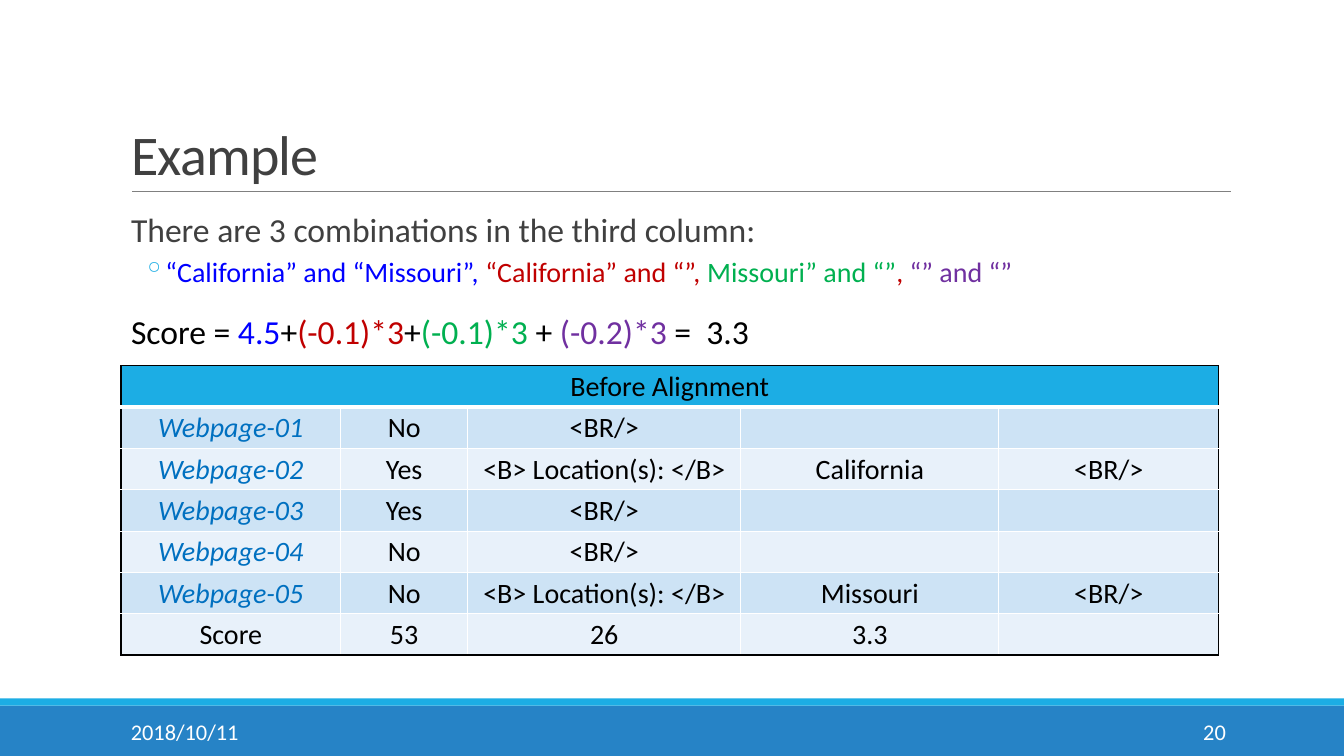
from dataclasses import dataclass

from lxml.etree import SubElement
from pptx import Presentation
from pptx.dml.color import RGBColor
from pptx.enum.shapes import MSO_CONNECTOR, MSO_SHAPE
from pptx.enum.text import MSO_ANCHOR, MSO_AUTO_SIZE, PP_ALIGN
from pptx.oxml.ns import qn
from pptx.util import Inches, Length, Pt

WHITE = RGBColor(0xFF, 0xFF, 0xFF)
BLACK = RGBColor(0x00, 0x00, 0x00)
CHARCOAL = RGBColor(0x40, 0x40, 0x40)
GRAY = RGBColor(0x80, 0x80, 0x80)
SKY = RGBColor(0x1C, 0xAD, 0xE4)
OCEAN = RGBColor(0x26, 0x83, 0xC6)
PALE = RGBColor(0xCD, 0xE3, 0xF5)
PALER = RGBColor(0xE8, 0xF1, 0xFA)
LINK_BLUE = RGBColor(0x00, 0x70, 0xC0)
BLUE = RGBColor(0x00, 0x00, 0xFF)
RED = RGBColor(0xC0, 0x00, 0x00)
GREEN = RGBColor(0x00, 0xB0, 0x50)
PURPLE = RGBColor(0x70, 0x30, 0xA0)

FONT = "Calibri"
SLIDE_COLUMNS, SLIDE_ROWS = 133.33, 75
MARGIN = 12


def grid(steps: float) -> Length:
    """Length of a number of grid steps, ten to the inch."""
    return Inches(steps / 10)


@dataclass(frozen=True)
class Box:
    left: float
    top: float
    width: float
    height: float

    def lengths(self) -> tuple[Length, ...]:
        return tuple(grid(n) for n in (self.left, self.top, self.width, self.height))


@dataclass(frozen=True)
class Band:
    box: Box
    color: RGBColor


@dataclass(frozen=True)
class FooterText:
    box: Box
    words: str
    align: PP_ALIGN


@dataclass(frozen=True)
class Line:
    """A body line made of coloured pieces."""
    pieces: tuple[tuple[str, RGBColor], ...]
    size: int = 24
    indent: float = 1
    before: int = 12
    after: int = 2
    bullet: str = ""


BANDS = (
    Band(Box(0, 70, SLIDE_COLUMNS, 5), OCEAN),
    Band(Box(0, 69.3, SLIDE_COLUMNS, 0.7), SKY),
)
FOOTERS = (
    FooterText(Box(MARGIN, 70.6, 27, 4), "2018/10/11", PP_ALIGN.LEFT),
    FooterText(Box(108.3, 70.6, 14.3, 4), "20", PP_ALIGN.RIGHT),
)
LINES = (
    Line((("There are 3 combinations in the third column:", CHARCOAL),)),
    Line((("“California” and “Missouri”, ", BLUE), ("“California” and “”, ", RED),
          ("Missouri” and “”", GREEN), (", ", RED), ("“” and “”", PURPLE)),
         size=20, indent=4.2, before=2, after=4, bullet="◦"),
    Line((("Score = ", BLACK), ("4.5", BLUE), ("+", BLACK), ("(-0.1)*3", RED),
          ("+", BLACK), ("(-0.1)*3 ", GREEN), ("+ ", BLACK),
          ("(-0.2)*3 ", PURPLE), ("=  3.3", BLACK))),
)
LOCATION = "<B> Location(s): </B>"
BREAK = "<BR/>"
COLUMN_WIDTHS = (21.8, 12.6, 27.1, 25.6, 21.8)
ROW_HEIGHT = 4.1
ALIGNMENT_ROWS = (
    ("Before Alignment", "", "", "", ""),
    ("Webpage-01", "No", BREAK, "", ""),
    ("Webpage-02", "Yes", LOCATION, "California", BREAK),
    ("Webpage-03", "Yes", BREAK, "", ""),
    ("Webpage-04", "No", BREAK, "", ""),
    ("Webpage-05", "No", LOCATION, "Missouri", BREAK),
    ("Score", "53", "26", "3.3", ""),
)


def style_font(paragraph, size: int, color: RGBColor) -> None:
    paragraph.font.name = FONT
    paragraph.font.size = Pt(size)
    paragraph.font.color.rgb = color


def add_band(slide, band: Band) -> None:
    bar = slide.shapes.add_shape(MSO_SHAPE.RECTANGLE, *band.box.lengths())
    bar.shadow.inherit = False
    bar.fill.solid()
    bar.fill.fore_color.rgb = band.color
    bar.line.fill.background()


def add_title_rule(slide) -> None:
    rule = slide.shapes.add_connector(
        MSO_CONNECTOR.STRAIGHT, grid(13.1), grid(19), grid(122.1), grid(19))
    rule.line.color.rgb = GRAY
    rule.line.width = Pt(0.5)
    SubElement(rule.element.spPr, qn("a:effectLst"))


def set_title(slide, words: str) -> None:
    title = slide.shapes.title
    title.left, title.top, title.width, title.height = Box(MARGIN, 3.1, 110, 15.9).lengths()
    frame = title.text_frame
    frame.text = words
    frame.auto_size = MSO_AUTO_SIZE.NONE
    frame.vertical_anchor = MSO_ANCHOR.BOTTOM
    heading = frame.paragraphs[0]
    heading.alignment = PP_ALIGN.LEFT
    heading.line_spacing = 0.85
    style_font(heading, 40, CHARCOAL)
    heading.runs[0].font._element.set("spc", "-50")


def add_footer(slide, footer: FooterText) -> None:
    frame = slide.shapes.add_textbox(*footer.box.lengths()).text_frame
    frame.word_wrap = True
    frame.vertical_anchor = MSO_ANCHOR.MIDDLE
    frame.text = footer.words
    frame.paragraphs[0].alignment = footer.align
    style_font(frame.paragraphs[0], 16, WHITE)


def set_border(cell, side: str, color: RGBColor, points: int) -> None:
    edge = SubElement(cell._tc.get_or_add_tcPr(), qn(f"a:ln{side}"), w=str(Pt(points)))
    SubElement(SubElement(edge, qn("a:solidFill")), qn("a:srgbClr"), val=str(color))


def add_alignment_table(slide) -> None:
    last_row, last_column = len(ALIGNMENT_ROWS) - 1, len(COLUMN_WIDTHS) - 1
    box = Box(MARGIN, 36.3, sum(COLUMN_WIDTHS), ROW_HEIGHT * len(ALIGNMENT_ROWS))
    table = slide.shapes.add_table(last_row + 1, last_column + 1, *box.lengths()).table
    table.first_row = table.horz_banding = False
    for column, width in zip(table.columns, COLUMN_WIDTHS):
        column.width = grid(width)
    table.cell(0, 0).merge(table.cell(0, last_column))
    for r, row in enumerate(ALIGNMENT_ROWS):
        table.rows[r].height = grid(ROW_HEIGHT)
        for c, words in enumerate(row):
            cell = table.cell(r, c)
            outer = {"L": c == 0, "R": r == 0 or c == last_column,
                     "T": r == 0, "B": r == last_row}
            for side, is_outer in outer.items():
                under_header = (r, side) in ((0, "B"), (1, "T"))
                set_border(cell, side, BLACK if is_outer else WHITE, 3 if under_header else 1)
            cell.fill.solid()
            cell.fill.fore_color.rgb = SKY if r == 0 else PALE if r % 2 else PALER
            cell.margin_left = cell.margin_right = cell.margin_top = grid(0.1)
            cell.margin_bottom = 0
            cell.vertical_anchor = MSO_ANCHOR.MIDDLE
            cell.text = words
            entry = cell.text_frame.paragraphs[0]
            entry.alignment = PP_ALIGN.CENTER
            is_page = words.startswith("Webpage")
            style_font(entry, 20, LINK_BLUE if is_page else BLACK)
            entry.font.italic = is_page


def add_body(slide) -> None:
    frame = slide.shapes.add_textbox(*Box(MARGIN, 20.2, 110, 44).lengths()).text_frame
    frame.word_wrap = True
    frame.margin_left = frame.margin_right = 0
    for i, line in enumerate(LINES):
        paragraph = frame.add_paragraph() if i else frame.paragraphs[0]
        properties = paragraph._p.get_or_add_pPr()
        properties.set("marL", str(grid(line.indent)))
        if line.bullet:
            properties.set("indent", str(grid(-2)))
            SubElement(SubElement(properties, qn("a:buClr")), qn("a:srgbClr"), val=str(SKY))
            SubElement(properties, qn("a:buChar"), char=line.bullet)
        paragraph.space_before, paragraph.space_after = Pt(line.before), Pt(line.after)
        paragraph.font.name, paragraph.font.size = FONT, Pt(line.size)
        for words, color in line.pieces:
            piece = paragraph.add_run()
            piece.text = words
            piece.font.color.rgb = color


def main() -> None:
    presentation = Presentation()
    presentation.slide_width, presentation.slide_height = grid(SLIDE_COLUMNS), grid(SLIDE_ROWS)
    slide = presentation.slides.add_slide(presentation.slide_layouts.get_by_name("Title Only"))
    for band in BANDS:
        add_band(slide, band)
    add_title_rule(slide)
    set_title(slide, "Example")
    for footer in FOOTERS:
        add_footer(slide, footer)
    add_alignment_table(slide)
    add_body(slide)
    presentation.save("out.pptx")


if __name__ == "__main__":
    main()
